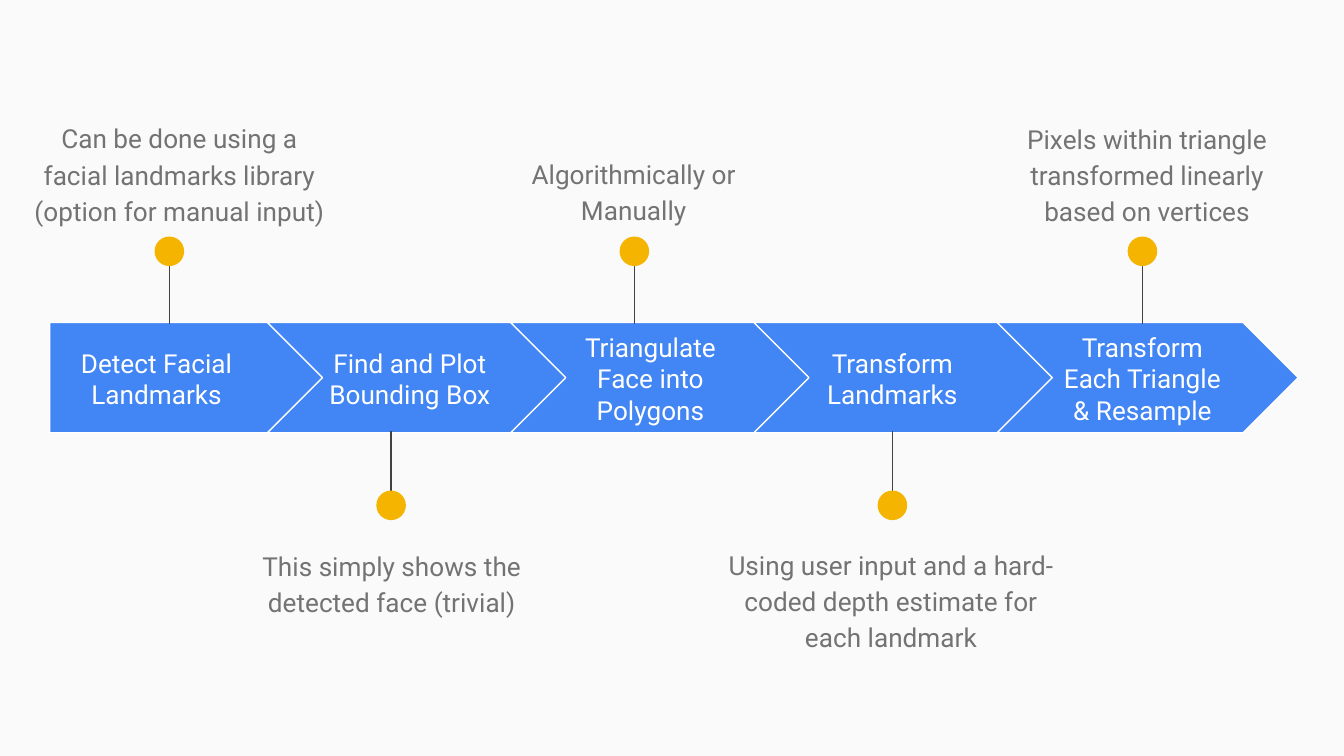
import pptx
import pptx.util
import pptx.dml.color
import pptx.enum.shapes
import pptx.enum.text
import lxml.etree

Inches, Pt = pptx.util.Inches, pptx.util.Pt
SHAPE = pptx.enum.shapes.MSO_SHAPE
ANCHOR = pptx.enum.text.MSO_ANCHOR

COLORS = {"background": "FAFAFA", "arrow": "4285F4", "white": "FFFFFF",
          "stem": "424242", "dot": "F4B400", "note": "737373"}
FONT = "Roboto"

# Each step: label, label box (left, width), marker x, side, note, note box
STEPS = [
    ("Detect Facial Landmarks", (0.37, 1.59), 1.26, "above",
     "Can be done using a facial landmarks library (option for manual input)",
     (0.11, 0.78, 2.45, 0.97)),
    ("Find and Plot Bounding Box", (2.33, 1.44), 2.91, "below",
     "This simply shows the detected face (trivial)",
     (1.69, 3.96, 2.45, 0.71)),
    ("Triangulate Face into Polygons", (4.12, 1.44), 4.72, "above",
     "Algorithmically or Manually",
     (3.49, 1.04, 2.45, 0.68)),
    ("Transform Landmarks", (5.92, 1.44), 6.64, "below",
     "Using user input and a hard-coded depth estimate for each landmark",
     (5.31, 3.95, 2.64, 0.99)),
    ("Transform Each Triangle & Resample", (7.78, 1.44), 8.5, "above",
     "Pixels within triangle transformed linearly based on vertices",
     (7.31, 0.78, 2.45, 1.05)),
]

ARROW_TOP, ARROW_H = 2.4, 0.82
FIRST_LEFT, FIRST_W = 0.37, 2.05
CHEVRON_LEFT, CHEVRON_W, CHEVRON_STEP = 1.99, 2.24, 1.81
LABEL_TOP, LABEL_H = 2.56, 0.51
DOT = 0.22
# Side: stem's outer end, stem's arrow end, dot top
MARKERS = {"above": (1.8, 2.41, 1.76), "below": (3.82, 3.21, 3.65)}


def rgb(name):
    return pptx.dml.color.RGBColor.from_string(COLORS[name])


def add_filled(slide, kind, box, fill, line=None):
    sp = slide.shapes.add_shape(kind, *map(Inches, box))
    sp.shadow.inherit = False
    sp.fill.solid()
    sp.fill.fore_color.rgb = rgb(fill)
    if line:
        sp.line.color.rgb = rgb(line)
        sp.line.width = Pt(0.75)
    else:
        sp.line.fill.background()
    return sp


def add_text(slide, text, box, color, anchor):
    tf = slide.shapes.add_textbox(*map(Inches, box)).text_frame
    tf.word_wrap = True
    tf.vertical_anchor = anchor
    tf.margin_left = tf.margin_right = Inches(0.1)
    tf.margin_top = tf.margin_bottom = Inches(0.1)
    p = tf.paragraphs[0]
    p.alignment = pptx.enum.text.PP_ALIGN.CENTER
    r = p.add_run()
    r.text = text
    r.font.name, r.font.size = FONT, Pt(14)
    r.font.color.rgb = rgb(color)
    return p


def add_marker(slide, x, side):
    outer, inner, dot_top = MARKERS[side]
    stem = slide.shapes.add_connector(
        pptx.enum.shapes.MSO_CONNECTOR.STRAIGHT,
        Inches(x), Inches(outer), Inches(x), Inches(inner))
    stem.line.color.rgb = rgb("stem")
    stem.line.width = Pt(0.75)
    lxml.etree.SubElement(stem._element.spPr, pptx.oxml.ns.qn("a:effectLst"))
    add_filled(slide, SHAPE.OVAL, (x - DOT / 2, dot_top, DOT, DOT), "dot")


# A 16:9 slide
prs = pptx.Presentation()
prs.slide_width = Inches(10)
prs.slide_height = prs.slide_width * 9 // 16
slide = prs.slides.add_slide(prs.slide_layouts[6])
slide.background.fill.solid()
slide.background.fill.fore_color.rgb = rgb("background")

for i, (label, (label_left, label_w), x, side, note, note_box) in enumerate(STEPS):
    # Process arrow
    if i == 0:
        kind, left, width = SHAPE.PENTAGON, FIRST_LEFT, FIRST_W
    else:
        kind, width = SHAPE.CHEVRON, CHEVRON_W
        left = CHEVRON_LEFT + (i - 1) * CHEVRON_STEP
    arrow = add_filled(slide, kind, (left, ARROW_TOP, width, ARROW_H), "arrow", "white")
    arrow.adjustments[0] = 0.5
    add_text(slide, label, (label_left, LABEL_TOP, label_w, LABEL_H),
             "white", ANCHOR.MIDDLE)

    # Marker and its note
    add_marker(slide, x, side)
    p = add_text(slide, note, note_box, "note", ANCHOR.TOP)
    p.line_spacing = 1.15
    p.space_after = Pt(16)

prs.save("out.pptx")
